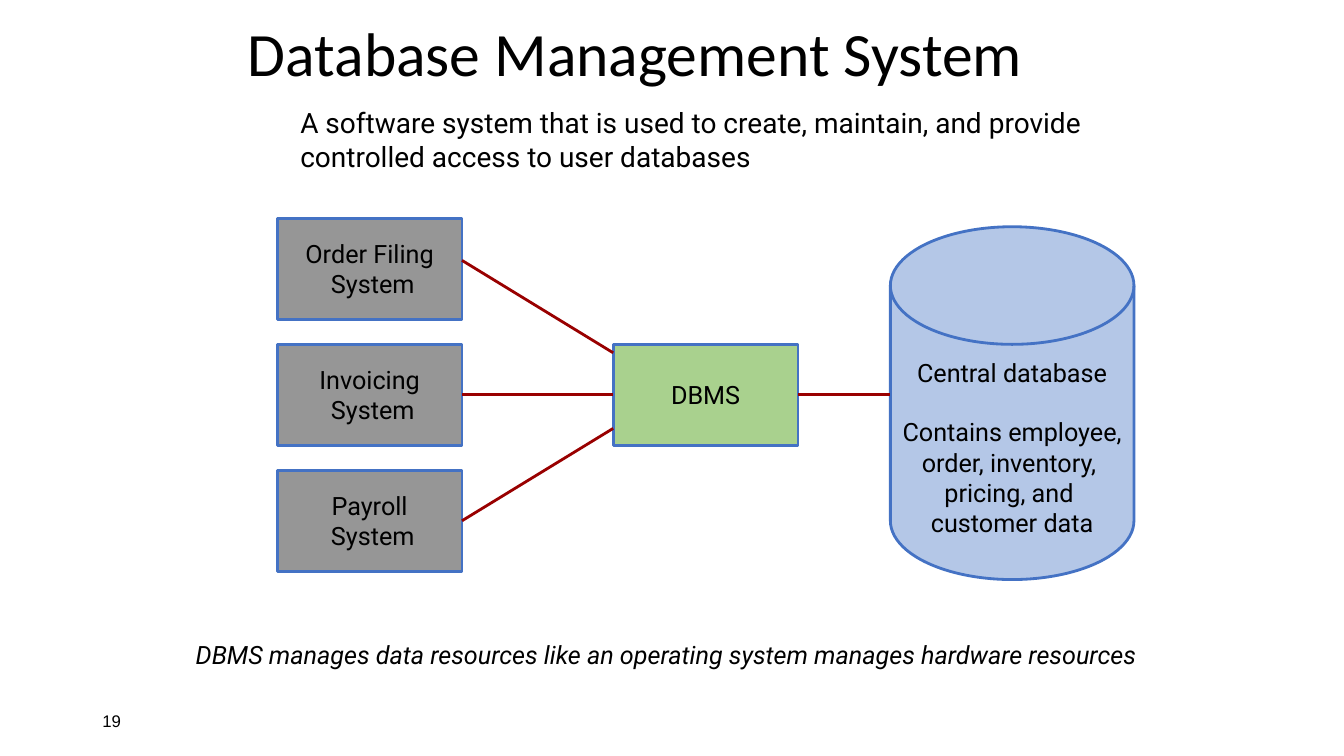
"""Builds a slide on the database management system."""
from pptx import Presentation
from pptx.dml.color import RGBColor
from pptx.enum.shapes import MSO_CONNECTOR, MSO_SHAPE
from pptx.enum.text import MSO_ANCHOR, MSO_AUTO_SIZE, PP_ALIGN
from pptx.oxml.ns import qn
from pptx.util import Pt
from lxml.etree import SubElement

PX = 9525
BLACK = RGBColor(0x00, 0x00, 0x00)
GREY = RGBColor(0x96, 0x96, 0x96)
GREEN = RGBColor(0xA9, 0xD1, 0x8E)
PALE = RGBColor(0xB4, 0xC7, 0xE7)
BLUE = RGBColor(0x44, 0x72, 0xC4)
RED = RGBColor(0x99, 0x00, 0x00)


def style(frame, text, size, font="Roboto", align=PP_ALIGN.LEFT):
    """Fill a text frame and format its runs."""
    frame.text = text
    for para in frame.paragraphs:
        para.alignment = align
        for run in para.runs:
            run.font.size = Pt(size)
            run.font.name = font
            run.font.color.rgb = BLACK


def place(box):
    """Turn px into EMU."""
    return [n * PX for n in box]


deck = Presentation()
deck.slide_width, deck.slide_height = place((1280, 720))
slide = deck.slides.add_slide(deck.slide_layouts[5])
shapes = slide.shapes

title = shapes.title
title.left, title.top, title.width, title.height = place((231, 16, 818, 75))
frame = title.text_frame
style(frame, "Database Management System", 44, "Calibri")
frame.word_wrap = False
frame.auto_size = MSO_AUTO_SIZE.NONE
frame.vertical_anchor = MSO_ANCHOR.MIDDLE
frame.margin_left = frame.margin_right = 5 * PX
frame.margin_top = frame.margin_bottom = 2 * PX
frame.paragraphs[0].line_spacing = 0.9

notes = [
    ((88, 667, 288, 38), "19", 12, "Arial"),
    ((177, 604, 938, 38), "DBMS manages data resources like an operating system "
     "manages hardware resources", 18, "Roboto"),
    ((240, 96, 816, 144), "A software system that is used to create, maintain, "
     "and provide controlled access to user databases", 20, "Roboto"),
]
frames = []
for box, text, size, font in notes:
    frame = shapes.add_textbox(*place(box)).text_frame
    frame.word_wrap = True
    style(frame, text, size, font)
    frames.append(frame)
number, motto, lead = frames
number.vertical_anchor = MSO_ANCHOR.MIDDLE
motto.paragraphs[0].runs[0].font.italic = True
lead.margin_left = 46 * PX

RECT = MSO_SHAPE.RECTANGLE
nodes = [
    (RECT, (264, 208 + 120 * row, 176, 96), GREY, name + "\n System")
    for row, name in enumerate(["Order Filing", "Invoicing", "Payroll"])
]
nodes.append((RECT, (584, 328, 176, 96), GREEN, "DBMS"))
nodes.append((MSO_SHAPE.FLOWCHART_MAGNETIC_DISK, (848, 216, 232, 336), PALE,
              "Central database\nContains employee,\norder, inventory, \n"
              "pricing, and \ncustomer data"))
for kind, box, fill, text in nodes:
    node = shapes.add_shape(kind, *place(box))
    node.shadow.inherit = False
    node.fill.solid()
    node.fill.fore_color.rgb = fill
    node.line.color.rgb = BLUE
    node.line.width = Pt(2)
    frame = node.text_frame
    frame.word_wrap = False
    frame.vertical_anchor = MSO_ANCHOR.MIDDLE
    style(frame, text, 18, align=PP_ALIGN.CENTER)

store = node.text_frame
store.margin_top = 33 * PX
store.paragraphs[1].space_before = Pt(21)

links = [
    (440, 248, 584, 336),
    (440, 376, 584, 376),
    (440, 496, 584, 408),
    (760, 376, 848, 376),
]
for ends in links:
    link = shapes.add_connector(MSO_CONNECTOR.STRAIGHT, *place(ends))
    link.line.color.rgb = RED
    link.line.width = Pt(2)
    SubElement(link._element.spPr, qn("a:effectLst"))

deck.save("out.pptx")
